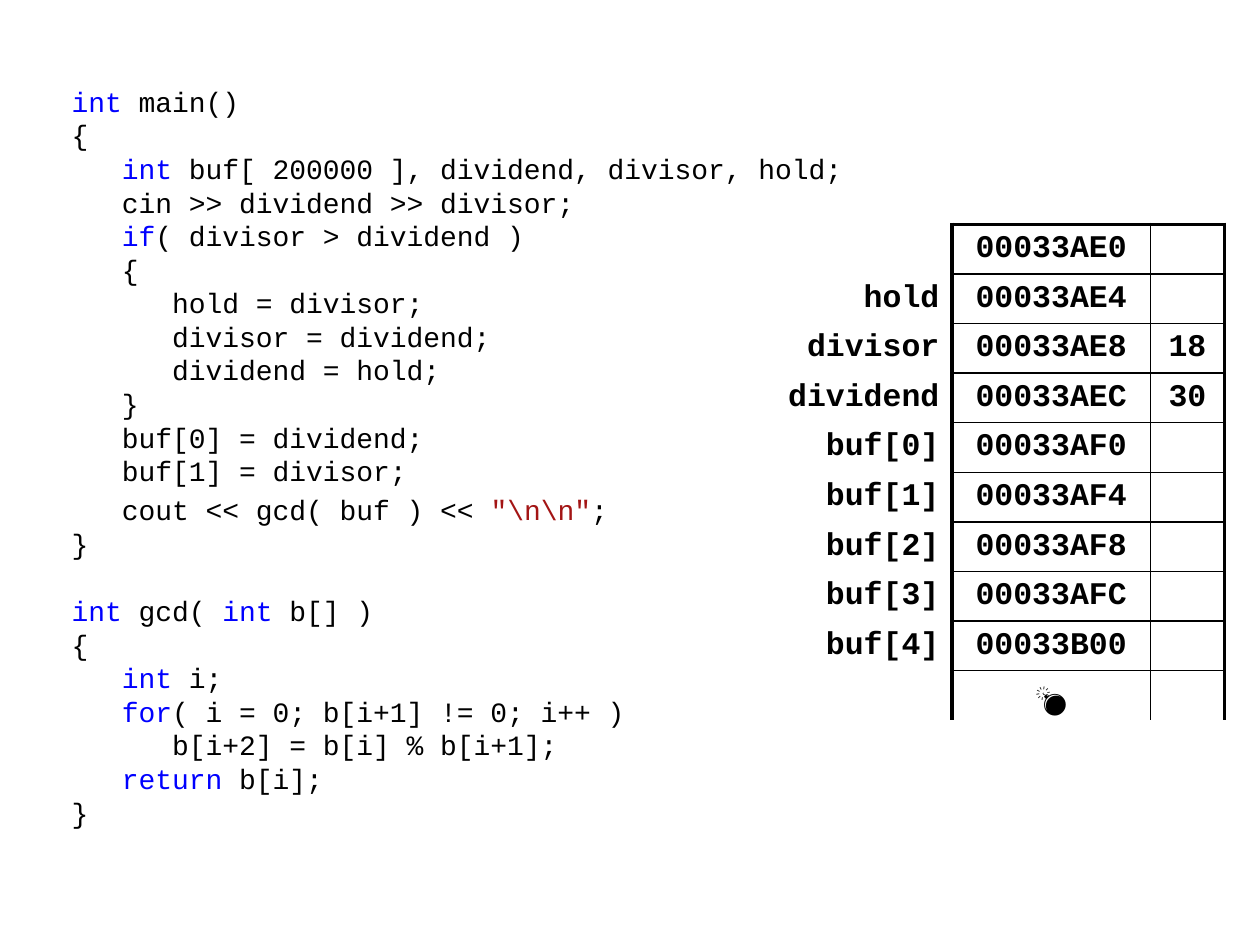
from lxml import etree
from pptx import Presentation
from pptx.dml.color import RGBColor
from pptx.enum.text import MSO_ANCHOR, PP_ALIGN
from pptx.oxml.ns import qn
from pptx.util import Inches, Pt

LEFT, CENTER, RIGHT = PP_ALIGN.LEFT, PP_ALIGN.CENTER, PP_ALIGN.RIGHT
MIDDLE, BOTTOM, TOP = MSO_ANCHOR.MIDDLE, MSO_ANCHOR.BOTTOM, MSO_ANCHOR.TOP
FONT = "Courier New"
COLORS = {"text": "000000", "keyword": "0000FF", "string": "A31515"}

# Each code line alternates plain and highlighted pieces
MAIN_CODE = [
    ("", "int", " main()"),
    ("{",),
    ("   ", "int ", "buf[ 200000 ], dividend, divisor, hold;"),
    ("   cin >> dividend >> divisor;",),
    ("   ", "if", "( divisor > dividend )"),
    ("   {",),
    ("      hold = divisor;",),
    ("      divisor = dividend;",),
    ("      dividend = hold;",),
    ("   }",),
    ("   buf[0] = dividend;",),
    ("   buf[1] = divisor;",),
    ("   cout << gcd( buf ) << ", r'"\n\n"', ";"),
    ("}",),
]
GCD_CODE = [
    ("", "int ", "gcd( ", "int", " b[] )"),
    ("{",),
    ("   ", "int ", "i;"),
    ("   ", "for", "( i = 0; b[i+1] != 0; i++ )"),
    ("      b[i+2] = b[i] % b[i+1];",),
    ("   ", "return", " b[i];"),
    ("}",),
]

# Variable, address, value
MEMORY = [
    ("", "00033AE0", ""),
    ("hold", "00033AE4", ""),
    ("divisor", "00033AE8", "18"),
    ("dividend", "00033AEC", "30"),
    ("buf[0]", "00033AF0", ""),
    ("buf[1]", "00033AF4", ""),
    ("buf[2]", "00033AF8", ""),
    ("buf[3]", "00033AFC", ""),
    ("buf[4]", "00033B00", ""),
    ("", "💣", ""),
]
COL_WIDTHS = (1.575, 1.575, 0.59)
COL_ALIGNS = (RIGHT, CENTER, CENTER)
ROW_HEIGHT = 0.394
LINE_PITCH = 19.2
THICK, THIN = 2.25, 1


def write(p, pieces, size=16, bold=False, align=LEFT, before=0, pitch=None):
    p.alignment = align
    p.space_before = Pt(before)
    if pitch:
        p.line_spacing = Pt(pitch)
    p.font.size, p.font.name = Pt(size), FONT
    for i, text in enumerate(pieces):
        if not text:
            continue
        kind = "text" if i % 2 == 0 else "string" if text[0] == '"' else "keyword"
        r = p.add_run()
        r.text = text
        r.font.name, r.font.size, r.font.bold = FONT, Pt(size), bold
        r.font.color.rgb = RGBColor.from_string(COLORS[kind])


def set_borders(cell, **widths):
    tc_pr = cell._tc.get_or_add_tcPr()
    for side in "LRTB":
        width = widths.get(side, 0)
        ln = etree.SubElement(tc_pr, qn(f"a:ln{side}"), w=str(Pt(width)))
        if width:
            fill = etree.SubElement(ln, qn("a:solidFill"))
            etree.SubElement(fill, qn("a:srgbClr"), val=COLORS["text"])
        else:
            etree.SubElement(ln, qn("a:noFill"))


prs = Presentation()
prs.slide_width, prs.slide_height = Inches(10), Inches(7.5)
s = prs.slides.add_slide(prs.slide_layouts[6])

# Program listing
tf = s.shapes.add_textbox(Inches(0.47), Inches(0.62), Inches(6.5), Inches(6.1)).text_frame
tf.word_wrap = True
tf.vertical_anchor = TOP
gaps = {len(MAIN_CODE) - 2: 3.2, len(MAIN_CODE): LINE_PITCH}
for i, line in enumerate(MAIN_CODE + GCD_CODE):
    p = tf.add_paragraph() if i else tf.paragraphs[0]
    write(p, line, before=gaps.get(i, 0), pitch=LINE_PITCH)

# Memory table
last = len(MEMORY) - 1
table = s.shapes.add_table(
    len(MEMORY), len(COL_WIDTHS), Inches(5.98), Inches(1.78),
    Inches(sum(COL_WIDTHS)), Inches(ROW_HEIGHT * len(MEMORY))).table
table.first_row = table.horz_banding = False
for col, width in zip(table.columns, COL_WIDTHS):
    col.width = Inches(width)
for i, row in enumerate(MEMORY):
    table.rows[i].height = Inches(ROW_HEIGHT)
    for j, text in enumerate(row):
        cell = table.cell(i, j)
        edge = i == last
        cell.vertical_anchor = BOTTOM if edge else MIDDLE
        cell.margin_top, cell.margin_bottom = Inches(0.04), Inches(0 if edge else 0.04)
        write(cell.text_frame.paragraphs[0], [text], size=18, bold=True, align=COL_ALIGNS[j])
        if j == 0:
            set_borders(cell, R=THICK)
        else:
            set_borders(cell, L=THICK if j == 1 else THIN, R=THIN if j == 1 else THICK,
                        T=THIN if i else THICK, B=0 if edge else THIN)
        cell.fill.background()

prs.save("out.pptx")
